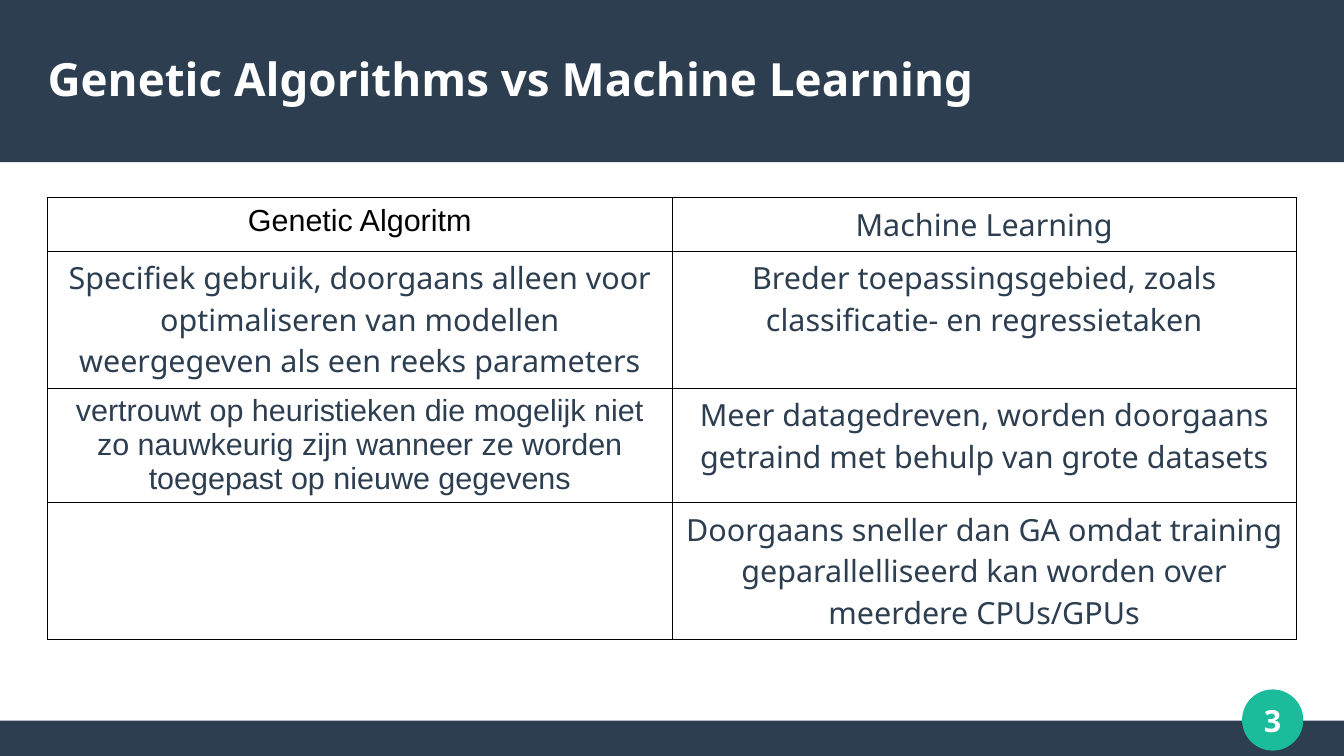
from dataclasses import dataclass

from lxml import etree
from pptx import Presentation
from pptx import util as u
from pptx.dml.color import RGBColor
from pptx.enum import shapes, text
from pptx.oxml import ns


@dataclass(frozen=True)
class Theme:
    navy: str = "2C3E50"
    teal: str = "1ABC9C"
    white: str = "FFFFFF"
    black: str = "000000"
    sans: str = "Noto Sans"
    plain: str = "Arial"
    title_size: int = 27
    body_size: int = 18
    badge_line: float = 0.85
    border: float = 0.57


class SlideBuilder:
    def __init__(self, deck, theme):
        self.theme = theme
        self.page = deck.slides.add_slide(deck.slide_layouts[5])

    def style(self, para, size, font, color, bold=False, align=text.PP_ALIGN.CENTER):
        para.alignment = align
        para.font.size = u.Pt(size)
        para.font.name = font
        para.font.bold = bold
        para.font.color.rgb = RGBColor.from_string(color)

    def prepare_frame(self, frame):
        frame.word_wrap = True
        frame.auto_size = text.MSO_AUTO_SIZE.NONE
        frame.vertical_anchor = text.MSO_ANCHOR.MIDDLE
        frame.margin_left = frame.margin_right = 0
        frame.margin_top = frame.margin_bottom = 0

    def shape(self, kind, left, top, width, height, color, line=None):
        shape = self.page.shapes.add_shape(
            kind, u.Inches(left), u.Inches(top), u.Inches(width), u.Inches(height))
        shape.shadow.inherit = False
        shape.fill.solid()
        shape.fill.fore_color.rgb = RGBColor.from_string(color)
        if line:
            shape.line.color.rgb = RGBColor.from_string(color)
            shape.line.width = u.Pt(line)
        else:
            shape.line.fill.background()

    def title(self, words, left, top, width, height):
        box = self.page.shapes.title
        box.left, box.top = u.Inches(left), u.Inches(top)
        box.width, box.height = u.Inches(width), u.Inches(height)
        # Bring the title in front of the header band
        self.page.shapes.element.append(box.element)
        self.prepare_frame(box.text_frame)
        box.text_frame.text = words
        self.style(box.text_frame.paragraphs[0], self.theme.title_size, self.theme.sans,
                   self.theme.white, True, text.PP_ALIGN.LEFT)

    def label(self, words, left, top, width, height):
        box = self.page.shapes.add_textbox(
            u.Inches(left), u.Inches(top), u.Inches(width), u.Inches(height))
        self.prepare_frame(box.text_frame)
        box.text_frame.text = words
        self.style(box.text_frame.paragraphs[0], self.theme.body_size, self.theme.sans,
                   self.theme.white, True)

    def cell_borders(self, cell):
        properties = cell._tc.get_or_add_tcPr()
        for side in ("a:lnL", "a:lnR", "a:lnT", "a:lnB"):
            line = etree.SubElement(properties, ns.qn(side), w=str(u.Pt(self.theme.border)))
            fill = etree.SubElement(line, ns.qn("a:solidFill"))
            etree.SubElement(fill, ns.qn("a:srgbClr"), val=self.theme.black)

    def table(self, rows, heights, left, top, width):
        table = self.page.shapes.add_table(
            len(rows), len(rows[0]), u.Inches(left), u.Inches(top),
            u.Inches(width), u.Inches(sum(heights))).table
        table.first_row = table.horz_banding = False
        for row, height, entries in zip(table.rows, heights, rows):
            row.height = u.Inches(height)
            for cell, (words, font, color) in zip(row.cells, entries):
                self.cell_borders(cell)
                cell.fill.background()
                cell.text = words
                self.style(cell.text_frame.paragraphs[0], self.theme.body_size, font, color)


def main():
    theme = Theme()
    deck = Presentation()
    deck.slide_width, deck.slide_height = u.Inches(11.02), u.Inches(6.2)
    slide = SlideBuilder(deck, theme)

    # Footer and header bands
    rectangle = shapes.MSO_SHAPE.RECTANGLE
    slide.shape(rectangle, 0, 5.91, 11.02, 0.3, theme.navy)
    slide.shape(rectangle, 0, 0, 11.02, 1.33, theme.navy)

    # Page number badge
    slide.shape(shapes.MSO_SHAPE.OVAL, 10.19, 5.66, 0.49, 0.49, theme.teal, theme.badge_line)
    slide.label("3", 10.04, 5.61, 0.79, 0.59)

    # Title
    slide.title("Genetic Algorithms vs Machine Learning", 0.39, 0.25, 10.24, 0.79)

    # Comparison table: words, font, colour
    body = (theme.sans, theme.navy)
    comparison = [
        [("Genetic Algoritm", theme.plain, theme.black),
         ("Machine Learning", *body)],
        [("Specifiek gebruik, doorgaans alleen voor optimaliseren van modellen "
          "weergegeven als een reeks parameters", *body),
         ("Breder toepassingsgebied, zoals classificatie- en regressietaken", *body)],
        [("vertrouwt op heuristieken die mogelijk niet zo nauwkeurig zijn wanneer "
          "ze worden toegepast op nieuwe gegevens", theme.plain, theme.navy),
         ("Meer datagedreven, worden doorgaans getraind met behulp van grote datasets", *body)],
        [("", *body),
         ("Doorgaans sneller dan GA omdat training geparallelliseerd kan worden "
          "over meerdere CPUs/GPUs", *body)],
    ]
    slide.table(comparison, [0.44] + [0.94] * 3, 0.39, 1.62, 10.24)

    deck.save("out.pptx")


if __name__ == "__main__":
    main()
